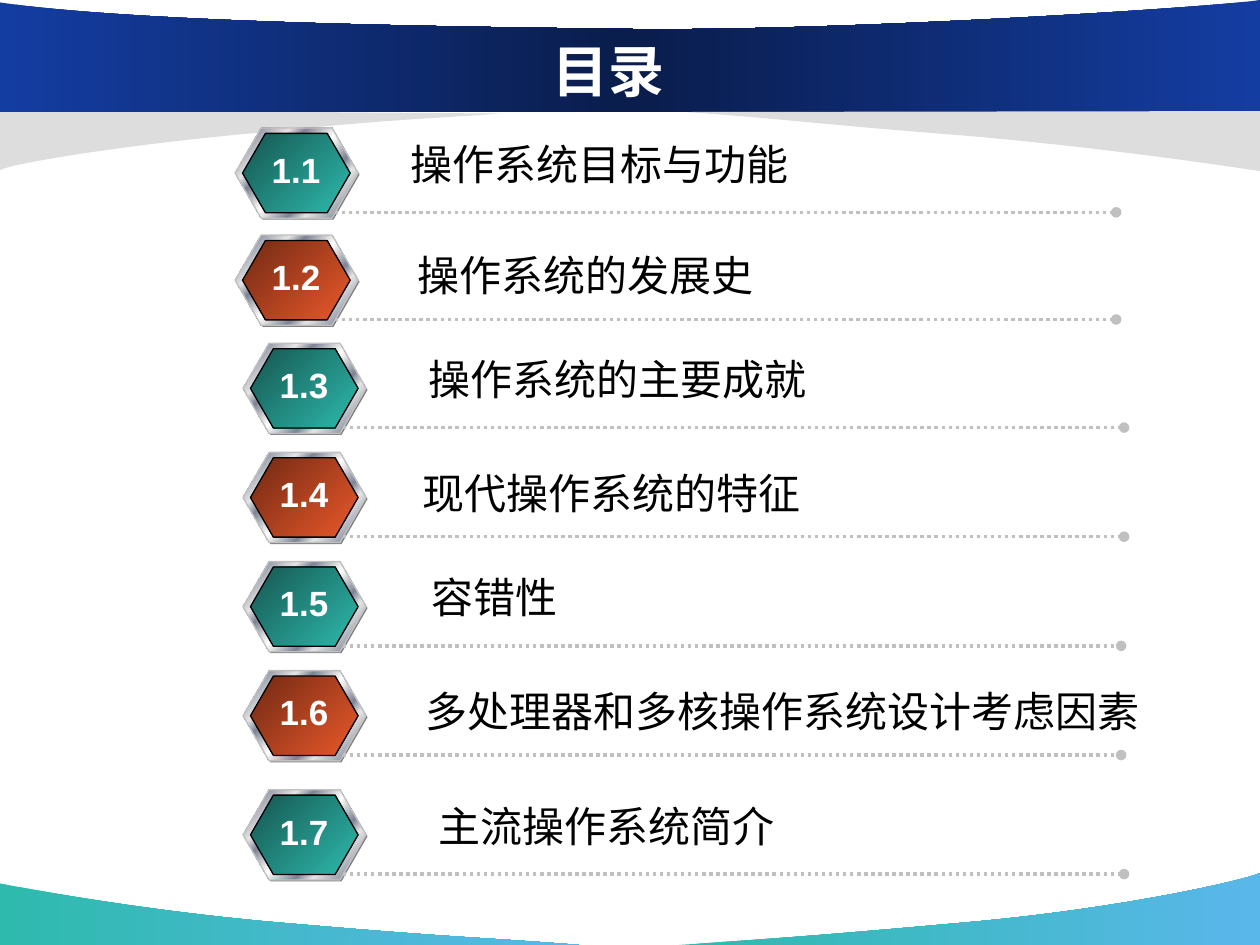
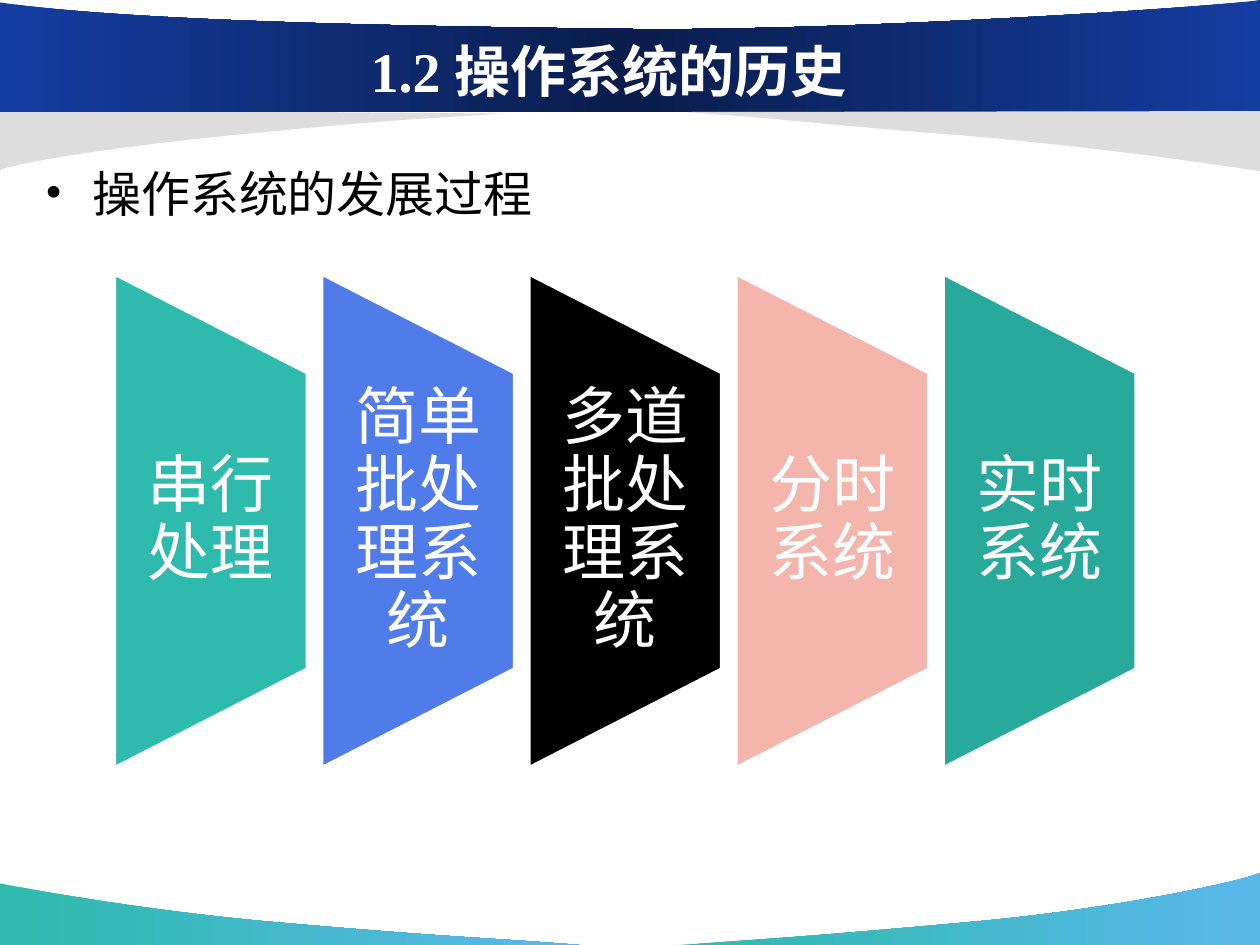
from dataclasses import dataclass

from lxml import etree
from pptx import Presentation
from pptx.dml.color import RGBColor
from pptx.enum.dml import MSO_LINE
from pptx.enum.shapes import MSO_CONNECTOR, MSO_SHAPE
from pptx.enum.text import MSO_ANCHOR, MSO_AUTO_SIZE, PP_ALIGN
from pptx.oxml.ns import qn
from pptx.util import Cm, Pt

HEX = MSO_SHAPE.HEXAGON
TRAP = MSO_SHAPE.FLOWCHART_MANUAL_OPERATION
LINE = MSO_CONNECTOR.STRAIGHT
DOTS = MSO_LINE.ROUND_DOT
LEFT, MID = PP_ALIGN.LEFT, PP_ALIGN.CENTER
TOP, CORE = MSO_ANCHOR.TOP, MSO_ANCHOR.MIDDLE
NOFIT = MSO_AUTO_SIZE.NONE


@dataclass(frozen=True)
class Theme:
    # Colours; a tuple of (percent, colour) pairs is a gradient
    white: str = "FFFFFF"
    black: str = "000000"
    shade: str = "DDDDDD"
    rule: str = "C0C0C0"
    under: str = "808080"
    wave: tuple = ((0, "2EBAAD"), (100, "5AB7EA"))
    band: tuple = ((0, "143DA2"), (50, "0A1D4C"), (100, "143DA2"))
    teal: tuple = ((0, "165650"), (100, "2EBAAD"))
    rust: tuple = ((0, "702913"), (100, "EB592B"))
    metal: tuple = (
        (0, "E6E6E6"), (8, "7D8496"), (26, "E6E6E6"), (34, "7D8496"),
        (46, "E6E6E6"), (50, "FFFFFF"), (54, "E6E6E6"), (66, "7D8496"),
        (74, "E6E6E6"), (92, "7D8496"), (100, "E6E6E6"))
    steps: tuple = ("2EBAAD", "507CE9", "000000", "F3B5AC", "29A89C")
    # Fonts and type sizes
    sans: str = "Arial"
    serif: str = "Times New Roman"
    title: int = 32
    label: int = 24
    badge: int = 20
    point: int = 28
    step: int = 36


T = Theme()


def write(frame, words, size, color=T.black, font=T.sans, bold=False,
          align=LEFT, anchor=TOP, wrap=True, side=0.25, edge=0.13,
          space=None, bullet=None):
    frame.word_wrap = wrap
    frame.auto_size = NOFIT
    frame.vertical_anchor = anchor
    frame.margin_left = frame.margin_right = Cm(side)
    frame.margin_top = frame.margin_bottom = Cm(edge)
    para = frame.paragraphs[0]
    para.alignment = align
    if space:
        para.line_spacing = space
    if bullet:
        props = para._p.get_or_add_pPr()
        props.set("marL", str(Cm(0.95)))
        props.set("indent", str(-Cm(0.95)))
        etree.SubElement(props, qn("a:buFont"), typeface=font)
        etree.SubElement(props, qn("a:buChar"), char=bullet)
    run = para.add_run()
    run.text = words
    run.font.name, run.font.size, run.font.bold = font, Pt(size), bold
    run.font.color.rgb = RGBColor.from_string(color)
    run._r.get_or_add_rPr().set("lang", "zh-CN")


def paint(shape, fill, angle=0, line=None, width=0.75):
    shape.shadow.inherit = False
    if isinstance(fill, str):
        shape.fill.solid()
        shape.fill.fore_color.rgb = RGBColor.from_string(fill)
    else:
        shape.fill.gradient()
        shape.fill.gradient_angle = (360 - angle) % 360
        stops = shape.element.spPr.find(".//" + qn("a:gsLst"))
        for stop in list(stops):
            stops.remove(stop)
        for place, color in fill:
            stop = etree.SubElement(stops, qn("a:gs"), pos=str(place * 1000))
            etree.SubElement(stop, qn("a:srgbClr"), val=color)
    if line:
        shape.line.color.rgb = RGBColor.from_string(line)
        shape.line.width = Pt(width)
    else:
        shape.line.fill.background()


deck = Presentation()
deck.slide_width, deck.slide_height = Cm(25.4), Cm(19.05)
base = deck.slide_layouts[5]

# Slides and their titles
pages = []
for words, font in (("目录", T.sans), ("1.2 操作系统的历史", T.serif)):
    page = deck.slides.add_slide(base)
    head = page.shapes.title
    head.left, head.top = Cm(2.33), Cm(0.62)
    head.width, head.height = Cm(19.89), Cm(1.57)
    write(head.text_frame, words, T.title, color=T.white, font=font,
          bold=True, align=MID, anchor=CORE)
    pages.append(page)
menu, past = pages

# Shared bands: two joined Bezier curves, then straight corners
bands = [
    (T.wave, [(11.68, 19.05), (9.75, 18.9), (9.09, 18.9), (5.89, 18.62),
              (2.69, 18.36), (0.03, 17.81), (0, 17.81)], [(0, 19.05)]),
    (T.wave, [(13.69, 19.05), (15.6, 18.92), (16.41, 18.87), (19.53, 18.59),
              (22.66, 18.31), (25.15, 17.73), (25.4, 17.6)], [(25.4, 19.05)]),
    (T.shade, [(10.11, 2.29), (8.41, 2.41), (8.08, 2.39), (5.28, 2.67),
               (2.46, 2.92), (0.23, 3.3), (0, 3.43)], [(0, 2.21)]),
    (T.band, [(25.4, 0), (24.49, 0.15), (16.59, 0.66), (12.37, 0.58),
              (8.15, 0.53), (2.57, 0.43), (0, 0.05)],
     [(0, 2.26), (25.4, 2.26)]),
    (T.shade, [(13.82, 2.26), (15.75, 2.39), (16.31, 2.49), (19.51, 2.74),
               (22.71, 3.02), (25.37, 3.45), (25.4, 3.45)], [(25.4, 2.24)]),
]
for order, (fill, curve, ends) in enumerate(bands):
    first, *rest = [(Cm(x), Cm(y)) for x, y in curve + ends]
    pen = menu.shapes.build_freeform(*first)
    pen.add_line_segments(rest)
    band = pen.convert_to_shape()
    paint(band, fill)
    # Gather each three points of the curve into one Bezier segment
    outline = band.element.spPr.find(".//" + qn("a:path"))
    sides = outline.findall(qn("a:lnTo"))
    for start in (0, 3):
        bend = etree.Element(qn("a:cubicBezTo"))
        sides[start].addprevious(bend)
        for side in sides[start:start + 3]:
            bend.append(side[0])
            outline.remove(side)
    # Move the band behind the placeholders of the layout
    band.element.nvSpPr.cNvPr.set("id", str(50 + order))
    base.shapes.element.insert(2 + order, band.element)

# Contents: badge left and top, rule end, label left and width, label
rows = [
    (4.74, 2.58, 22.5, 8.03, 9.83, "操作系统目标与功能"),
    (4.74, 4.74, 22.5, 8.17, 12.37, "操作系统的发展史"),
    (4.9, 6.92, 22.66, 8.38, 9.83, "操作系统的主要成就"),
    (4.9, 9.12, 22.66, 8.27, 12.37, "现代操作系统的特征"),
    (4.9, 11.32, 22.6, 8.44, 9.83, "容错性"),
    (4.9, 13.52, 22.6, 8.33, 15.39, "多处理器和多核操作系统设计考虑因素"),
    (4.9, 15.92, 22.66, 8.59, 9.83, "主流操作系统简介"),
]
for index, (left, top, stop, start, wide, words) in enumerate(rows):
    odd = index % 2
    group = menu.shapes.add_group_shape().shapes

    # Hexagon badge: lower layer, metal rim, coloured face
    layers = [
        (0.03, 0.03, 2.48, 1.82, T.under, None),
        (0, 0, 2.48, 1.82, T.metal, T.rule),
        (0.15, 0.11, 2.17, 1.6, T.rust if odd else T.teal, T.black),
    ]
    for dx, dy, width, height, fill, edge in layers:
        plate = group.add_shape(HEX, Cm(left + dx), Cm(top + dy),
                                Cm(width), Cm(height))
        plate.adjustments[0] = 0.289
        paint(plate, fill, angle=45, line=edge)

    # Dotted rule with a round end
    level = Cm(top + 1.7)
    rule = group.add_connector(LINE, Cm(left + 2.01), level, Cm(stop), level)
    rule.line.color.rgb = RGBColor.from_string(T.rule)
    rule.line.width = Pt(2)
    rule.line.dash_style = DOTS
    props = rule.element.spPr
    etree.SubElement(props.find(qn("a:ln")), qn("a:tailEnd"), type="oval")
    etree.SubElement(props, qn("a:effectLst"))

    # Number and label
    badge = group.add_textbox(Cm(left + 0.34), Cm(top + 0.28),
                              Cm(1.78), Cm(1.12))
    write(badge.text_frame, f"1.{index + 1}", T.badge, color=T.white,
          bold=True, align=MID, wrap=False)
    label = menu.shapes.add_textbox(
        Cm(start), Cm(top + (0.17 if odd else 0.08)), Cm(wide), Cm(1.27))
    write(label.text_frame, words, T.label)

# History: bullet line
point = past.shapes.add_textbox(Cm(0.66), Cm(3.16), Cm(21.64), Cm(1.6))
write(point.text_frame, "操作系统的发展过程", T.point, font=T.serif, bullet="•")

# History: five stages, each a trapezoid turned on its side
stages = ["串行处理", "简单批处理系统", "多道批处理系统", "分时系统", "实时系统"]
chain = past.shapes.add_group_shape().shapes
LONG, WIDE, TALL = 9.96, 3.89, 5.97
HEAD, TAIL = 4.25, 20.96
GAP = (TAIL - HEAD) / (len(stages) - 1)
for index, (words, color) in enumerate(zip(stages, T.steps)):
    x, y = HEAD + GAP * index, 10.5
    stage = chain.add_shape(TRAP, Cm(x - LONG / 2), Cm(y - WIDE / 2),
                            Cm(LONG), Cm(WIDE))
    stage.rotation = 270
    paint(stage, color, line=T.white, width=2)
    name = chain.add_textbox(Cm(x - WIDE / 2), Cm(y - TALL / 2),
                             Cm(WIDE), Cm(TALL))
    write(name.text_frame, words, T.step, color=T.white, align=MID,
          anchor=CORE, side=0.63, edge=0, space=0.9)

deck.save("out.pptx")
